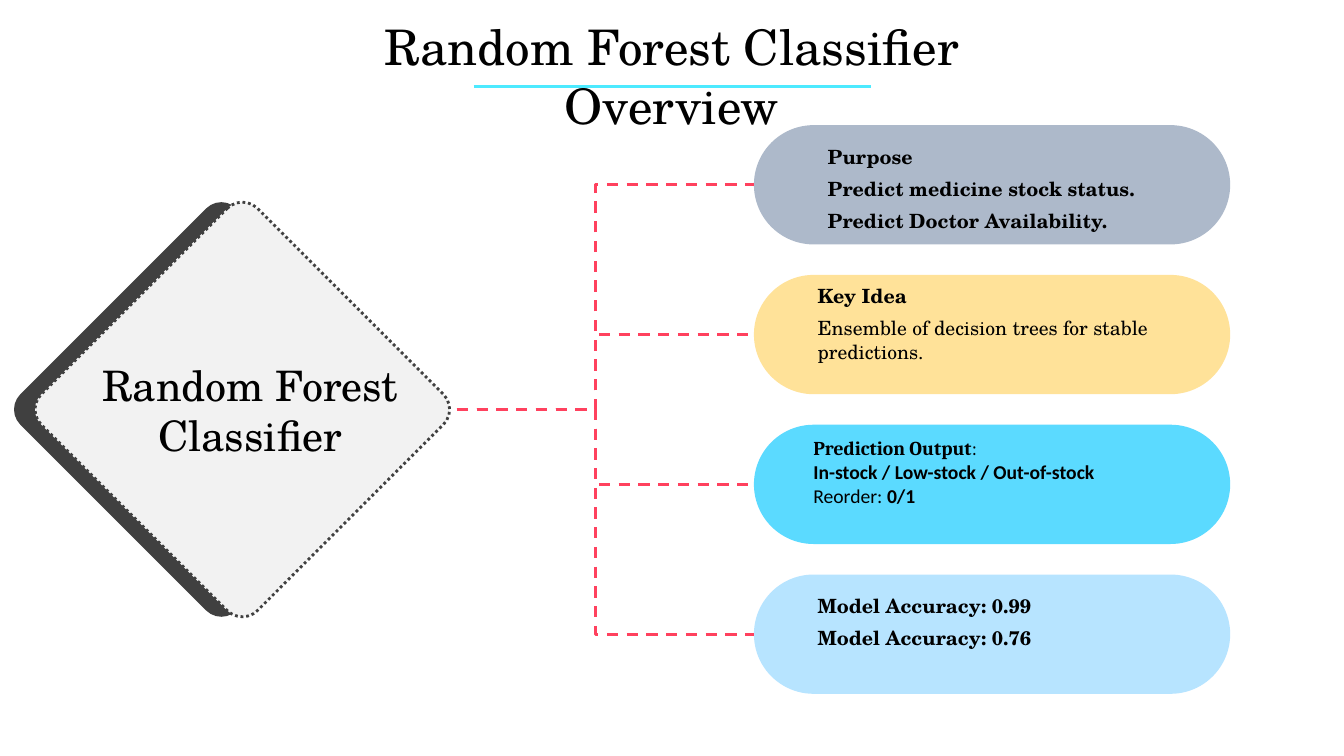
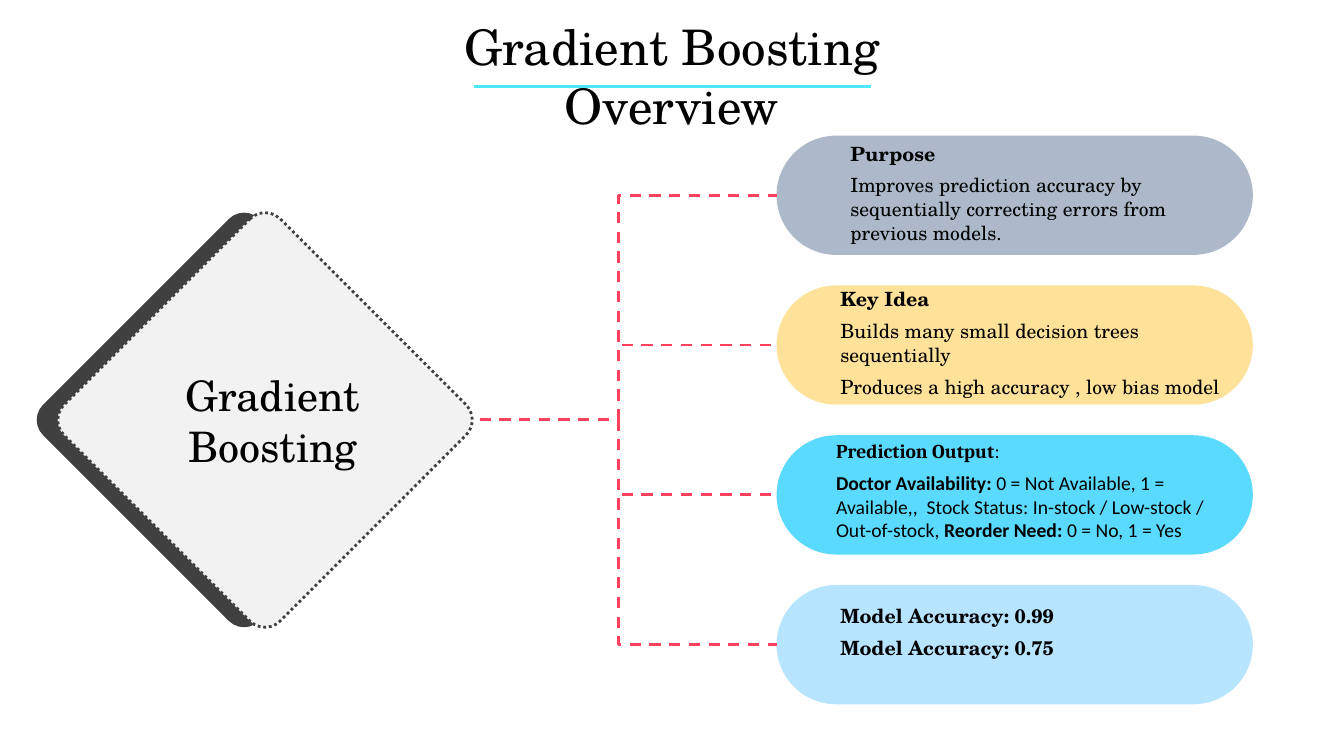
import pptx
import pptx.util
import pptx.dml.color
import pptx.enum.dml
import pptx.enum.shapes
import pptx.enum.text
import pptx.oxml
from dataclasses import dataclass

COLORS = {
    "text": "000000",
    "underline": "4DEAFF",
    "branch": "FF415E",
    "diamond_back": "404040",
    "diamond_front": "F2F2F2",
    "purpose": "ADB9CA",
    "idea": "FFE299",
    "output": "5BDAFF",
    "accuracy": "B7E4FF",
}
SERIF, CAMBRIA, SANS = "TeX Gyre Schola", "Cambria", "Calibri"
SLIDE_WIDTH, SLIDE_HEIGHT = pptx.util.Inches(13.333), pptx.util.Inches(7.5)
COLUMNS = 160
CELL = SLIDE_WIDTH / COLUMNS
DIAGRAM_WIDTH, DIAGRAM_HEIGHT = 138.3, 67.7
PANEL_WIDTH, PANEL_HEIGHT = 56.7, 14.2
DIAMOND_SIDE, DIAMOND_SHIFT = 36.4, 2.5
HUB_COLUMN = 43.9
LABEL_COLUMN, LABEL_WIDTH = 1.65, 40
PANEL_STYLES = [("purpose", 7.6, 44), ("idea", 6.4, 47.6), ("output", 5.9, 46.8), ("accuracy", 6.4, 44)]


@dataclass
class Line:
    """One paragraph of a panel, as runs of text and boldness."""
    runs: list
    font: str = SERIF
    space_before: int = 6


def cells(count):
    """Turn a number of square grid cells into a length."""
    return pptx.util.Emu(round(count * CELL))


def color(name):
    """Look up a colour of the palette."""
    return pptx.dml.color.RGBColor.from_string(COLORS[name])


def set_font(paragraph, name, size):
    """Give a whole paragraph its typeface, size and colour."""
    paragraph.font.name = name
    paragraph.font.size = pptx.util.Pt(size)
    paragraph.font.color.rgb = color("text")


def add_rounded(slide, box, fill, adjustment):
    """Add a plain rounded rectangle in a box of grid cells."""
    shape = slide.shapes.add_shape(pptx.enum.shapes.MSO_SHAPE.ROUNDED_RECTANGLE, *map(cells, box))
    shape.adjustments[0] = adjustment
    shape.shadow.inherit = False
    shape.fill.solid()
    shape.fill.fore_color.rgb = color(fill)
    shape.line.fill.background()
    return shape


def add_line(slide, kind, ends, name):
    """Add a connector without a shadow between two grid points."""
    connector = slide.shapes.add_connector(kind, *map(cells, ends))
    connector.line.color.rgb = color(name)
    connector.line.width = pptx.util.Pt(2)
    connector._element.spPr.append(pptx.oxml.parse_xml(
        '<a:effectLst xmlns:a="http://schemas.openxmlformats.org/drawingml/2006/main"/>'))
    return connector


def add_diamond(slide, left, middle, fill):
    """Add a square turned on its corner, centred on a row."""
    box = (left, middle - DIAMOND_SIDE / 2, DIAMOND_SIDE, DIAMOND_SIDE)
    diamond = add_rounded(slide, box, fill, 0.07)
    diamond.rotation = 45
    return diamond


def add_text(slide, box):
    """Add an empty wrapping text frame in a box of grid cells."""
    frame = slide.shapes.add_textbox(*map(cells, box)).text_frame
    frame.word_wrap = True
    return frame


def add_title(slide, text):
    """Place the title and its underline at the top centre."""
    title = slide.shapes.title
    width = 74
    title.left, title.top, title.width, title.height = map(cells, ((COLUMNS - width) / 2, 1.4, width, 8.3))
    frame = title.text_frame
    frame.text = text
    frame.word_wrap = True
    frame.auto_size = pptx.enum.text.MSO_AUTO_SIZE.NONE
    frame.vertical_anchor = pptx.enum.text.MSO_ANCHOR.TOP
    paragraph = frame.paragraphs[0]
    paragraph.alignment = pptx.enum.text.PP_ALIGN.CENTER
    set_font(paragraph, SERIF, 35)
    add_line(slide, pptx.enum.shapes.MSO_CONNECTOR.STRAIGHT, (56.4, 10.3, 103.7, 10.3), "underline")


def add_label(slide, left, middle, words):
    """Write the model's name over the diamond, one word group a line."""
    height = 13.3
    frame = add_text(slide, (left + LABEL_COLUMN, middle - height / 2, LABEL_WIDTH, height))
    frame.vertical_anchor = pptx.enum.text.MSO_ANCHOR.MIDDLE
    for index, text in enumerate(words):
        paragraph = frame.add_paragraph() if index else frame.paragraphs[0]
        paragraph.text = text
        paragraph.alignment = pptx.enum.text.PP_ALIGN.CENTER
        set_font(paragraph, SERIF, 30)


def add_panel_text(slide, box, lines):
    """Write the lines of one panel."""
    frame = add_text(slide, box)
    for index, line in enumerate(lines):
        paragraph = frame.add_paragraph() if index else frame.paragraphs[0]
        paragraph.space_before = pptx.util.Pt(line.space_before)
        set_font(paragraph, line.font, 14)
        for text, bold in line.runs:
            run = paragraph.add_run()
            run.text = text
            run.font.bold = bold


def add_diagram(slide, left, top, words, panels):
    """Draw the diamond, the branches and the stack of panels."""
    middle = top + DIAGRAM_HEIGHT / 2
    panel_left = left + DIAGRAM_WIDTH - PANEL_WIDTH
    pitch = (DIAGRAM_HEIGHT - PANEL_HEIGHT) / (len(panels) - 1)
    add_diamond(slide, left, middle, "diamond_back")
    for index, ((fill, indent, width), (drop, lines)) in enumerate(zip(PANEL_STYLES, panels)):
        panel_top = top + index * pitch
        panel = add_rounded(slide, (panel_left, panel_top, PANEL_WIDTH, PANEL_HEIGHT), fill, 0.5)
        ends = (left + HUB_COLUMN, middle, panel_left, panel_top + PANEL_HEIGHT / 2)
        branch = add_line(slide, pptx.enum.shapes.MSO_CONNECTOR.ELBOW, ends, "branch")
        branch.line.dash_style = pptx.enum.dml.MSO_LINE.DASH
        branch.end_connect(panel, 1)
        add_panel_text(slide, (panel_left + indent, panel_top + drop, width, PANEL_HEIGHT), lines)
    front = add_diamond(slide, left + DIAMOND_SHIFT, middle, "diamond_front")
    front.line.color.rgb = color("diamond_back")
    front.line.width = pptx.util.Pt(2)
    front.line.dash_style = pptx.enum.dml.MSO_LINE.ROUND_DOT
    add_label(slide, left, middle, words)


def add_overview(presentation, title, origin, words, panels):
    """Add one model overview slide."""
    slide = presentation.slides.add_slide(presentation.slide_layouts[5])
    add_diagram(slide, *origin, words, panels)
    add_title(slide, title)


def heading(text):
    """Make a bold line."""
    return Line([(text, True)])


def plain(text):
    """Make a regular line."""
    return Line([(text, False)])


OUTPUT_HEADING = Line([("Prediction Output", True), (":", False)], CAMBRIA)

FOREST_PANELS = [
    (1.8, [heading("Purpose"), heading("Predict medicine stock status."),
           heading("Predict Doctor Availability.")]),
    (0.5, [heading("Key Idea"), plain("Ensemble of decision trees for stable predictions.")]),
    (0.8, [OUTPUT_HEADING,
           Line([("In-stock / Low-stock / Out-of-stock", True)], SANS, 0),
           Line([("Reorder: ", False), ("0/1", True)], SANS, 0)]),
    (1.7, [heading("Model Accuracy: 0.99"), heading("Model Accuracy: 0.76")]),
]
BOOSTING_PANELS = [
    (0.1, [heading("Purpose"),
           plain("Improves prediction accuracy by sequentially correcting errors from previous models.")]),
    (-0.4, [heading("Key Idea"), plain("Builds many small decision trees sequentially"),
            plain("Produces a high accuracy , low bias model")]),
    (-0.1, [OUTPUT_HEADING,
            Line([("Doctor Availability:", True),
                  (" 0 = Not Available, 1 = Available,,  Stock Status: "
                   "In-stock / Low-stock / Out-of-stock, ", False),
                  ("Reorder Need:", True), (" 0 = No, 1 = Yes", False)], SANS)]),
    (1.7, [heading("Model Accuracy: 0.99"), heading("Model Accuracy: 0.75")]),
]


def main():
    """Build and save the presentation."""
    presentation = pptx.Presentation()
    presentation.slide_width, presentation.slide_height = SLIDE_WIDTH, SLIDE_HEIGHT
    add_overview(presentation, "Random Forest Classifier Overview", (8.15, 14.9),
                 ["Random Forest", "Classifier"], FOREST_PANELS)
    add_overview(presentation, "Gradient Boosting Overview", (10.85, 16.15),
                 ["Gradient", "Boosting"], BOOSTING_PANELS)
    presentation.save("out.pptx")


if __name__ == "__main__":
    main()
